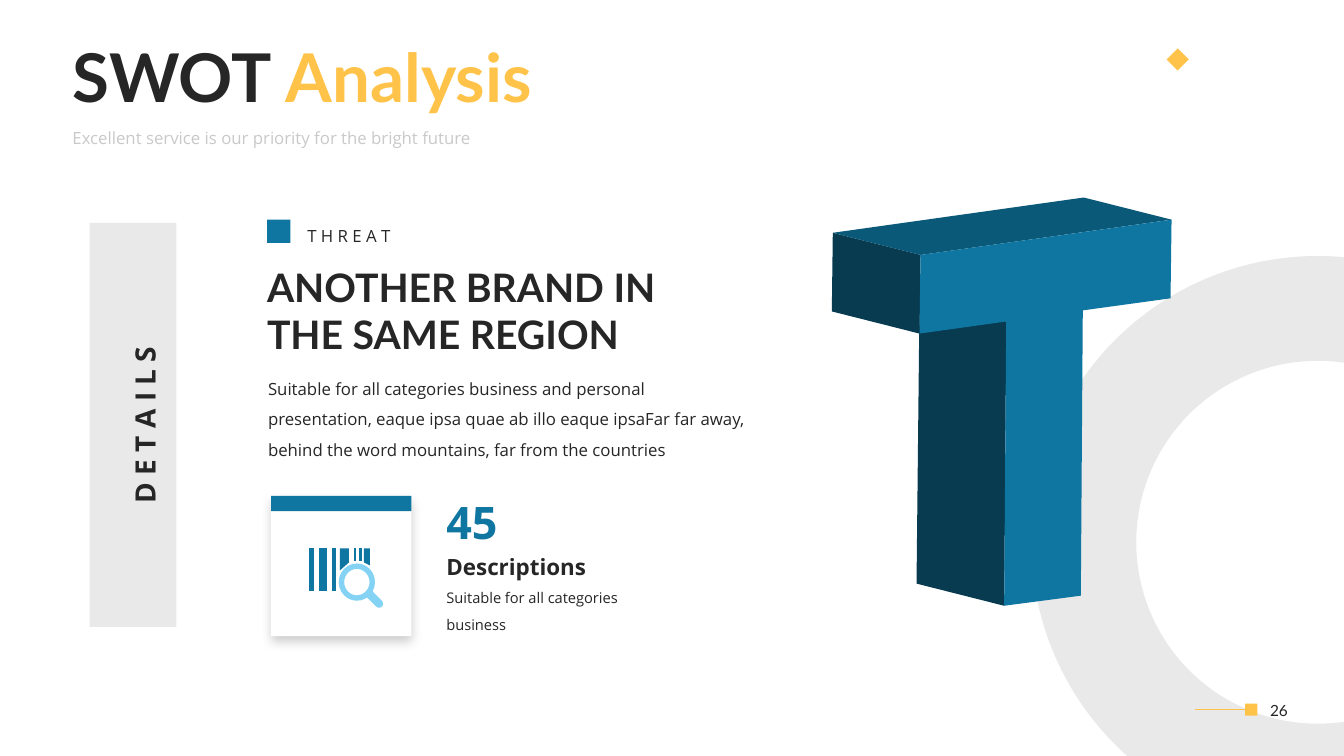
from math import acos, asin, cos, pi, sin
from lxml.etree import SubElement as Sub
from pptx import Presentation
from pptx.dml.color import RGBColor as Rgb
from pptx.enum.shapes import MSO_CONNECTOR as Conn, MSO_SHAPE as Kind
from pptx.enum.text import MSO_ANCHOR as Anchor, PP_ALIGN as Align
from pptx.oxml.ns import qn
from pptx.util import Pt

PX = 9144
WIDE, HIGH = 1333, 750
DARK, GRAY, PALE = "262626", "E9E9E9", "C9C9C9"
GOLD, BLUE, SKY, WHITE = "FFC34A", "0F76A1", "85D3F4", "FFFFFF"
DEEP, ROOF = "083B50", "0B5979"
LATO, OPEN = "Lato", "Open Sans"

RING = dict(x=1307, y=538, big=284, small=180)
LETTER = [
    (DEEP, [(996, 601), (909, 579), (912, 296), (998, 319)]),
    (DEEP, [(912, 331), (825, 309), (826, 231), (913, 253)]),
    (ROOF, [(913, 253), (826, 231), (1075, 196), (1162, 218)]),
    (BLUE, [(1162, 218), (1161, 296), (1074, 308), (1072, 591),
            (996, 601), (998, 319), (912, 331), (913, 253)]),
]
BAR_TOP = 544
BARS = [(306, 5, 586, 586), (316, 8, 586, 586), (329, 4, 586, 586),
        (337, 9, 566, 558), (351, 2, 557, 557), (356, 3, 557, 557),
        (361, 6, 558, 561)]
TEXTS = [
    ((62, 35, 801, 91), [("SWOT ", DARK), ("Analysis", GOLD)],
     dict(size=48, font=LATO, bold=True, mid=True, lead=0.9, before=10)),
    ((62, 124, 482, 24),
     [("Excellent service is our priority for the bright future", PALE)],
     dict(size=12, lead=0.9, before=10)),
    ((255, 256, 445, 104), [("ANOTHER BRAND IN THE SAME REGION", DARK)],
     dict(size=28, font=LATO, bold=True)),
    ((256, 361, 501, 98),
     [("Suitable for all categories business and personal presentation, "
       "eaque ipsa quae ab illo eaque ipsaFar far away, behind the word "
       "mountains, far from the countries", DARK)],
     dict(size=12, lead=1.5)),
    ((295, 209, 138, 37), [("T H R E A T", DARK)], dict(size=12, lead=1.5)),
    ((433, 459, 184, 82), [("45", BLUE)], dict(size=32, bold=True, lead=1.5)),
    ((433, 571, 227, 60), [("Suitable for all categories business", DARK)],
     dict(size=10.5, lead=1.5)),
    ((433, 544, 170, 37), [("Descriptions", DARK)], dict(size=16, bold=True)),
    ((7, 394, 251, 55), [("D E T A I L S", DARK)],
     dict(size=20, bold=True, lead=1.5, mid_x=True, turn=270)),
    ((1238, 684, 61, 41), [("26", DARK)],
     dict(size=11, font=LATO, mid=True, mid_x=True)),
]

deck = Presentation()
deck.slide_width, deck.slide_height = WIDE * PX, HIGH * PX
shapes = deck.slides.add_slide(deck.slide_layouts[6]).shapes


def tint(hue):
    return Rgb.from_string(hue)


def paint(shape, hue):
    shape.shadow.inherit = False
    shape.fill.solid()
    shape.fill.fore_color.rgb = tint(hue)
    shape.line.fill.background()
    return shape


def block(box, hue, kind=Kind.RECTANGLE):
    return paint(shapes.add_shape(kind, *(n * PX for n in box)), hue)


def outline(points, hue):
    spots = [(x * PX, y * PX) for x, y in points]
    pen = shapes.build_freeform(*spots[0], scale=1.0)
    pen.add_line_segments(spots[1:], close=True)
    return paint(pen.convert_to_shape(), hue)


def arc(radius, start, end, steps=120):
    turns = [start + (end - start) * i / steps for i in range(steps + 1)]
    return [(RING["x"] + radius * cos(a), RING["y"] + radius * sin(a))
            for a in turns]


def write(box, runs, size, font=OPEN, bold=False, lead=None, before=None,
          mid=False, mid_x=False, turn=0):
    shape = shapes.add_textbox(*(n * PX for n in box))
    shape.rotation = turn
    frame = shape.text_frame
    frame.word_wrap = True
    frame.vertical_anchor = Anchor.MIDDLE if mid else Anchor.TOP
    para = frame.paragraphs[0]
    para.alignment = Align.CENTER if mid_x else Align.LEFT
    if lead:
        para.line_spacing = lead
    if before:
        para.space_before = Pt(before)
    for words, hue in runs:
        run = para.add_run()
        run.text = words
        run.font.size, run.font.name, run.font.bold = Pt(size), font, bold
        run.font.color.rgb = tint(hue)


def cast(shape):
    drop = Sub(shape.element.spPr.find(qn("a:effectLst")), qn("a:outerShdw"),
               blurRad=str(Pt(8)), dist=str(Pt(4)), dir="5400000",
               algn="t", rotWithShape="0")
    hue = Sub(drop, qn("a:srgbClr"), val="000000")
    Sub(hue, qn("a:alpha"), val="20000")


def main():
    """Build the SWOT threat slide and save it."""
    gap, drop = WIDE - RING["x"], HIGH - RING["y"]
    big, small = RING["big"], RING["small"]
    edge = acos(gap / small)
    outer = arc(big, -acos(gap / big), -pi - asin(drop / big))
    inner = arc(small, edge, 2 * pi - edge)
    outline(outer + [(WIDE, HIGH)] + inner, GRAY)

    for hue, points in LETTER:
        outline(points, hue)

    rule = shapes.add_connector(Conn.STRAIGHT, *(
        n * PX for n in (1185, 704, 1235, 704)))
    rule.line.color.rgb = tint(GOLD)
    rule.line.width = Pt(0.5)
    Sub(rule.element.spPr, qn("a:effectLst"))
    block((1235, 698, 12, 12), GOLD)
    block((1157, 48, 22, 22), GOLD, Kind.DIAMOND)

    block((265, 218, 23, 23), BLUE)
    cast(block((269, 492, 139, 139), WHITE))
    block((269, 492, 139, 15), BLUE)
    block((89, 221, 86, 401), GRAY)

    for x, wide, left, right in BARS:
        outline([(x, BAR_TOP), (x + wide, BAR_TOP), (x + wide, right),
                 (x, left)], BLUE)
    lens = block((336, 559, 36, 37), SKY, Kind.DONUT)
    lens.adjustments[0] = 0.15
    grip = block((360, 590, 22, 8), SKY, Kind.ROUNDED_RECTANGLE)
    grip.adjustments[0] = 0.5
    grip.rotation = 45

    for box, runs, style in TEXTS:
        write(box, runs, **style)
    deck.save("out.pptx")


if __name__ == "__main__":
    main()
